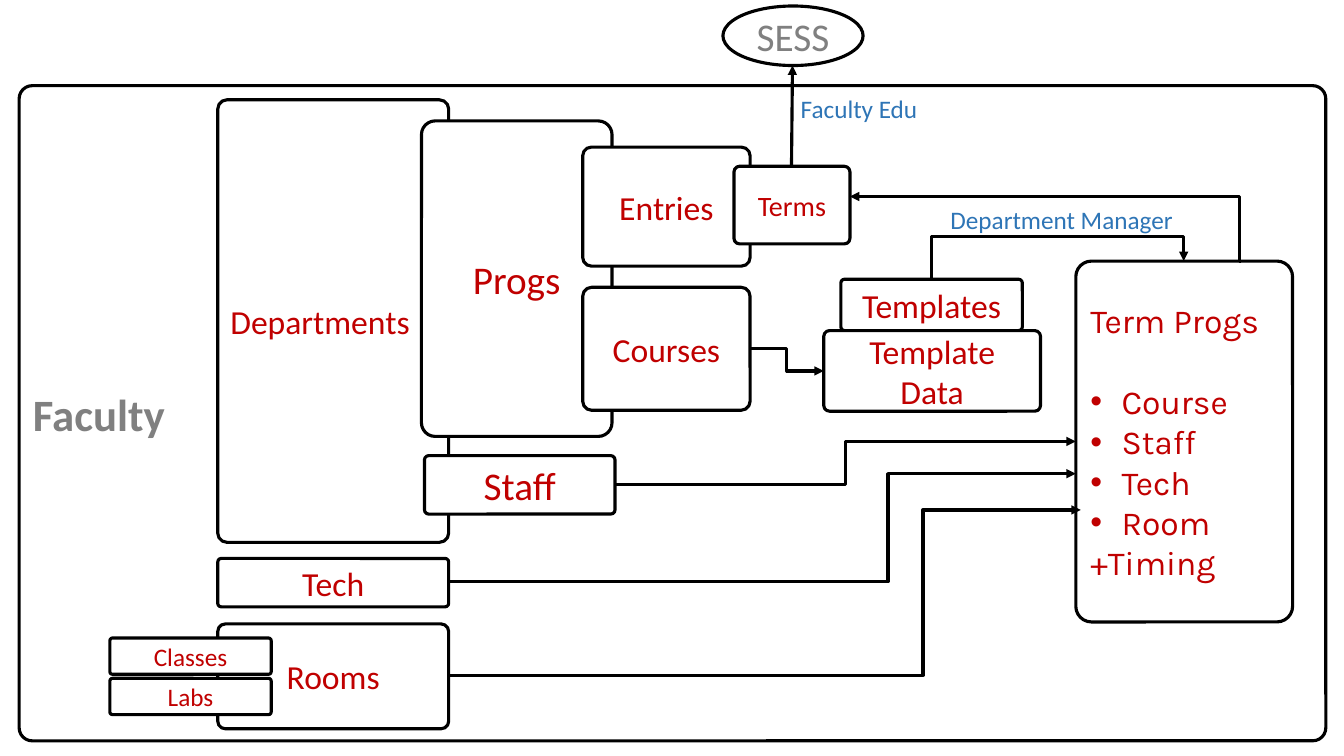
from lxml.etree import SubElement
from pptx import Presentation
from pptx.dml.color import RGBColor
from pptx.enum.shapes import MSO_CONNECTOR, MSO_SHAPE
from pptx.enum.text import MSO_ANCHOR, PP_ALIGN
from pptx.oxml.ns import qn
from pptx.util import Inches, Pt

BLACK, WHITE, RED, GREY, BLUE = "000000", "FFFFFF", "C00000", "808080", "2E75B6"
LEFT, CENTER = PP_ALIGN.LEFT, PP_ALIGN.CENTER


def color(value):
    return RGBColor.from_string(value)


def assign(target, values):
    for name, value in values.items():
        setattr(target, name, value)


class Diagram:
    """Holds the style and the current slide."""
    line_width = Pt(2.25)
    corner = 0.072

    def __init__(self, slide):
        self.shapes = slide.shapes

    def stroke(self, line):
        line.color.rgb = color(BLACK)
        line.width = self.line_width

    def add_text(self, para, text, size, tint, font="Calibri", bold=False, align=CENTER):
        para.alignment = align
        span = para.add_run()
        span.text = text
        assign(span.font, {"name": font, "size": Pt(size), "bold": bold})
        span.font.color.rgb = color(tint)

    def box(self, area, kind=MSO_SHAPE.ROUNDED_RECTANGLE, corner=corner):
        shape = self.shapes.add_shape(kind, *map(Inches, area))
        shape.shadow.inherit = False
        shape.fill.solid()
        shape.fill.fore_color.rgb = color(WHITE)
        self.stroke(shape.line)
        if kind == MSO_SHAPE.ROUNDED_RECTANGLE:
            shape.adjustments[0] = corner
        assign(shape.text_frame, {"word_wrap": True, "vertical_anchor": MSO_ANCHOR.MIDDLE})
        return shape.text_frame

    def label(self, area, text):
        frame = self.shapes.add_textbox(*map(Inches, area)).text_frame
        frame.word_wrap = True
        self.add_text(frame.paragraphs[0], text, 18, BLUE)

    def bullet(self, para):
        settings = para._p.get_or_add_pPr()
        settings.set("marL", str(Inches(0.31)))
        settings.set("indent", str(-Inches(0.31)))
        SubElement(settings, qn("a:buFont")).set("typeface", "Arial")
        SubElement(settings, qn("a:buChar")).set("char", "•")

    def arrow(self, start, end, bend=None, upright=False):
        """Straight without a bend; upright elbows leave vertically."""
        if upright:  # the frame is laid out sideways, then turned a quarter
            mid_x, mid_y = (start[0] + end[0]) / 2, (start[1] + end[1]) / 2
            half_x, half_y = (end[1] - start[1]) / 2, (start[0] - end[0]) / 2
            start = mid_x - half_x, mid_y - half_y
            end = mid_x + half_x, mid_y + half_y
        kind = MSO_CONNECTOR.STRAIGHT if bend is None else MSO_CONNECTOR.ELBOW
        link = self.shapes.add_connector(kind, *map(Inches, (*start, *end)))
        self.stroke(link.line)
        settings = link._element.spPr
        if upright:
            settings.find(qn("a:xfrm")).set("rot", "5400000")
        if bend is not None:
            guides = settings.find(qn("a:prstGeom")).find(qn("a:avLst"))
            guide = SubElement(guides, qn("a:gd"))
            guide.set("name", "adj1")
            guide.set("fmla", f"val {round(bend * 100000)}")
        SubElement(settings.find(qn("a:ln")), qn("a:tailEnd")).set("type", "triangle")
        SubElement(settings, qn("a:effectLst"))


deck = Presentation()
assign(deck, {"slide_width": Inches(13.33), "slide_height": Inches(7.5)})
diagram = Diagram(deck.slides.add_slide(deck.slide_layouts[6]))

# Faculty frame and departments
faculty = diagram.box((0.19, 0.85, 12.96, 6.5), corner=0.02)
diagram.add_text(faculty.paragraphs[0], "Faculty", 32, GREY, bold=True, align=LEFT)
departments = diagram.box((2.16, 0.99, 2.29, 4.39), corner=0.04)
diagram.add_text(departments.paragraphs[0], "Departments", 24, RED, align=LEFT)

# Entities, back to front
for name, size, area in [
    ("Progs", 28, (4.18, 1.2, 1.89, 3.13)),
    ("Entries", 24, (5.78, 1.46, 1.66, 1.18)),
    ("Terms", 20, (7.28, 1.65, 1.15, 0.77)),
    ("Courses", 24, (5.78, 2.85, 1.66, 1.22)),
    ("Staff", 28, (4.21, 4.52, 1.89, 0.58)),
    ("Tech", 24, (2.16, 5.54, 2.29, 0.48)),
    ("Templates", 24, (8.34, 2.77, 1.8, 0.51)),
    ("Template Data", 24, (8.17, 3.28, 2.15, 0.8)),
    ("Rooms", 24, (2.16, 6.19, 2.29, 1.04)),
    ("Classes", 18, (1.09, 6.33, 1.6, 0.36)),
    ("Labs", 18, (1.09, 6.73, 1.6, 0.36)),
]:
    diagram.add_text(diagram.box(area).paragraphs[0], name, size, RED)

# Term programs with their resources
term_progs = diagram.box((10.67, 2.59, 2.15, 3.58))
resources = ["Course", "Staff", "Tech", "Room"]
for text in ["Term Progs", *resources, "+Timing"]:
    first = text == "Term Progs"
    para = term_progs.paragraphs[0] if first else term_progs.add_paragraph()
    diagram.add_text(para, text, 24, RED, font="Karla", align=LEFT)
    if text == resources[0]:
        para.space_before = Pt(28.8)
    if text in resources:
        diagram.bullet(para)

# Flows
diagram.label((9.15, 1.98, 2.76, 0.4), "Department Manager")
diagram.arrow((12.31, 2.59), (8.43, 1.95), bend=0.004)
diagram.arrow((7.44, 3.46), (8.17, 3.68), bend=0.5)
diagram.arrow((9.24, 2.77), (11.74, 2.59), bend=2.37, upright=True)
diagram.arrow((6.1, 4.81), (10.67, 4.38), bend=0.5)
diagram.arrow((4.46, 5.77), (10.67, 4.7), bend=0.7)
diagram.arrow((4.46, 6.7), (10.72, 5.06), bend=0.75)

# External session system
session = diagram.box((7.17, 0.06, 1.39, 0.59), kind=MSO_SHAPE.OVAL)
diagram.add_text(session.paragraphs[0], "SESS", 28, GREY)
diagram.arrow((7.85, 1.65), (7.86, 0.65))
diagram.label((7.59, 0.88, 1.86, 0.4), "Faculty Edu")

deck.save("out.pptx")
